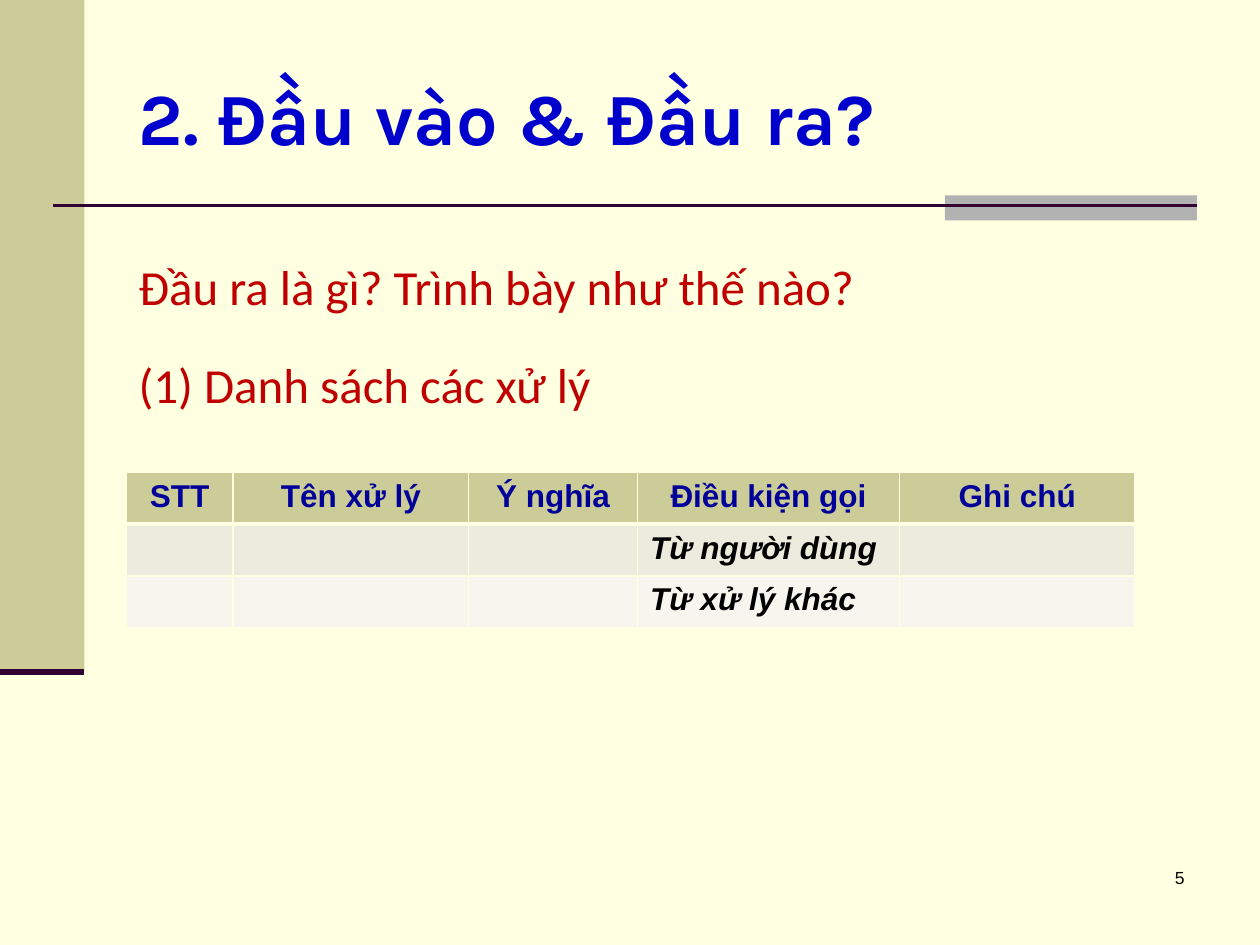
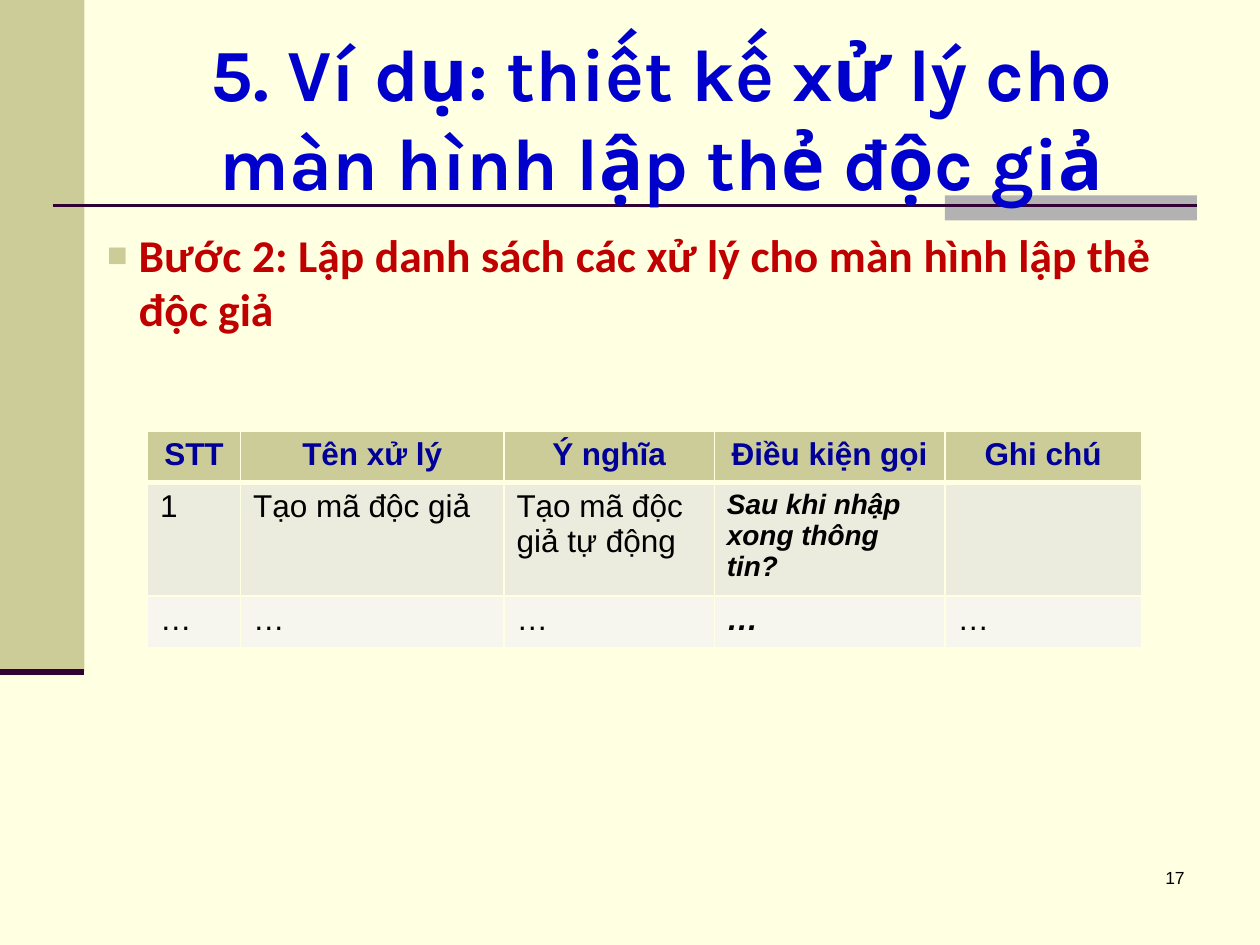
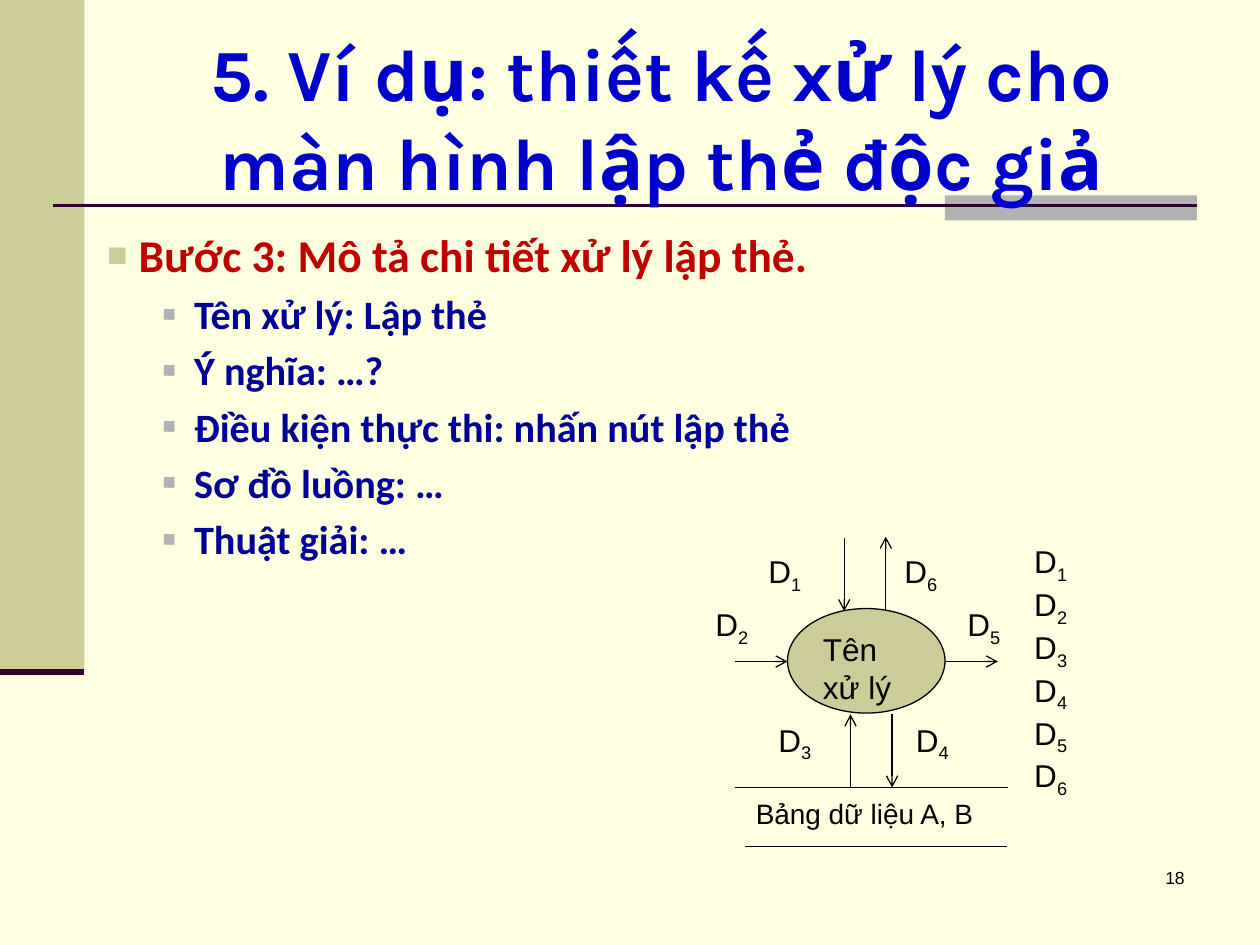
from dataclasses import dataclass, field
from typing import Any, NamedTuple

from lxml.etree import SubElement
from pptx import Presentation
from pptx.dml.color import RGBColor
from pptx.enum.shapes import MSO_CONNECTOR, MSO_SHAPE
from pptx.enum.text import MSO_ANCHOR, MSO_AUTO_SIZE, PP_ALIGN
from pptx.oxml.ns import qn
from pptx.util import Emu, Pt

SCALE = 9144


def px(size: int) -> Emu:
    return Emu(size * SCALE)


class Box(NamedTuple):
    left: int
    top: int
    width: int
    height: int

    def emu(self) -> list[Emu]:
        return [px(side) for side in self]


class Type(NamedTuple):
    size: int
    face: str
    ink: str
    bold: bool = False
    slant: bool = False


@dataclass(frozen=True)
class Theme:
    page: str = "FFFFE1"
    khaki: str = "CCCC99"
    gray: str = "B2B2B2"
    plum: str = "330033"
    black: str = "000000"
    rows: tuple[str, ...] = ("CCCC99", "ECECDE", "F6F6EF")
    title: Type = Type(42, "Karla", "0000CC", True)
    lead: Type = Type(28, "Calibri", "C00000")
    step: Type = Type(26, "Calibri", "C00000", True)
    item: Type = Type(23, "Calibri", "000099", True)
    head: Type = Type(18, "Arial", "000099", True)
    cell: Type = Type(18, "Arial", "000000")
    note: Type = Type(18, "Arial", "000000", True, True)
    hint: Type = Type(16, "Arial", "000000", True, True)
    store: Type = Type(16, "Arial", "000000")
    foot: Type = Type(10, "Arial", "000000")


T = Theme()


class Line(NamedTuple):
    text: str
    type: Type = T.cell
    sub: str = ""
    align: PP_ALIGN = PP_ALIGN.LEFT


class Mark(NamedTuple):
    ink: str
    size: int


class Point(NamedTuple):
    line: Line
    indent: int = 25
    level: int = 0
    mark: Mark | None = None
    space: float | None = None


class Rule(NamedTuple):
    x1: int
    y1: int
    x2: int
    y2: int
    ink: str = T.black
    weight: float = 0.75
    arrow: bool = False


class Band(NamedTuple):
    box: Box
    ink: str


class Grid(NamedTuple):
    box: Box
    cols: tuple[int, ...]
    rows: tuple[tuple[Line, ...], ...]


class Label(NamedTuple):
    box: Box
    lines: tuple[Line, ...]


@dataclass(frozen=True)
class Page:
    title: Line
    body: Box
    points: list[Point]
    number: int
    grid: Grid | None = None
    rules: list[Rule] = field(default_factory=list)
    labels: list[Label] = field(default_factory=list)


BANDS = (
    Band(Box(0, 0, 67, 533), T.khaki),
    Band(Box(750, 155, 200, 20), T.gray),
)
BARS = (
    Rule(42, 163, 950, 163, T.plum, 1.5),
    Rule(0, 533, 67, 533, T.plum, 3.5),
)
TITLE = Box(100, 30, 850, 125)
FOOT = Box(742, 683, 208, 50)
OVAL = Box(625, 483, 125, 83)
ROW = 41


def put(target: Any, values: dict[str, Any]) -> None:
    for name, value in values.items():
        setattr(target, name, value)


def place(shape: Any, box: Box) -> None:
    put(shape, dict(zip(box._fields, box.emu())))


def paint(fill: Any, ink: str) -> None:
    fill.solid()
    fill.fore_color.rgb = RGBColor.from_string(ink)


def add_run(para: Any, text: str, type: Type) -> Any:
    run = para.add_run()
    run.text = text
    put(run.font, {"size": Pt(type.size), "name": type.face,
                   "bold": type.bold, "italic": type.slant})
    run.font.color.rgb = RGBColor.from_string(type.ink)
    return run


def write(frame: Any, lines: tuple[Line, ...]) -> list[Any]:
    paras = []
    for line in lines:
        para = frame.add_paragraph() if paras else frame.paragraphs[0]
        para.alignment = line.align
        add_run(para, line.text, line.type)
        if line.sub:
            run = add_run(para, line.sub, line.type)
            run._r.get_or_add_rPr().set("baseline", "-25000")
        paras.append(para)
    return paras


def add_mark(para: Any, point: Point) -> None:
    props = para._p.get_or_add_pPr()
    props.set("marL", str(px(point.indent)))
    props.set("indent", str(px(-25)))
    if point.mark is None:
        SubElement(props, qn("a:buNone"))
        return
    tint = SubElement(props, qn("a:buClr"))
    SubElement(tint, qn("a:srgbClr"), val=point.mark.ink)
    SubElement(props, qn("a:buSzPct"), val=str(point.mark.size * 1000))
    SubElement(props, qn("a:buChar"), char="■")


def add_list(shape: Any, box: Box, points: list[Point]) -> None:
    place(shape, box)
    frame = shape.text_frame
    frame.auto_size = MSO_AUTO_SIZE.NONE
    paras = write(frame, tuple(point.line for point in points))
    for para, point in zip(paras, points):
        put(para, {"level": point.level, "line_spacing": point.space})
        add_mark(para, point)


def add_label(slide: Any, label: Label) -> None:
    frame = slide.shapes.add_textbox(*label.box.emu()).text_frame
    frame.word_wrap = True
    write(frame, label.lines)


def add_rule(slide: Any, rule: Rule) -> Any:
    ends = [px(end) for end in rule[:4]]
    link = slide.shapes.add_connector(MSO_CONNECTOR.STRAIGHT, *ends)
    link.line.width = Pt(rule.weight)
    paint(link.line.fill, rule.ink)
    props = link.element.spPr
    if rule.arrow:
        SubElement(props.find(qn("a:ln")), qn("a:tailEnd"), type="arrow")
    SubElement(props, qn("a:effectLst"))
    return link


def add_band(slide: Any, band: Band) -> Any:
    shape = slide.shapes.add_shape(MSO_SHAPE.RECTANGLE, *band.box.emu())
    shape.shadow.inherit = False
    paint(shape.fill, band.ink)
    shape.line.fill.background()
    return shape


def add_oval(slide: Any) -> None:
    shape = slide.shapes.add_shape(MSO_SHAPE.OVAL, *OVAL.emu())
    shape.shadow.inherit = False
    paint(shape.fill, T.khaki)
    paint(shape.line.fill, T.black)
    shape.line.width = Pt(0.75)
    put(shape.text_frame, {"word_wrap": False, "vertical_anchor": MSO_ANCHOR.TOP})
    write(shape.text_frame, (Line("Tên"), Line("xử lý")))


def add_edge(cell: Any, side: str, weight: float) -> None:
    props = cell._tc.get_or_add_tcPr()
    edge = SubElement(props, qn(f"a:ln{side}"), w=str(Pt(weight)))
    fill = SubElement(edge, qn("a:solidFill"))
    SubElement(fill, qn("a:srgbClr"), val=T.page)


def add_grid(slide: Any, grid: Grid) -> None:
    shape = slide.shapes.add_table(len(grid.rows), len(grid.cols), *grid.box.emu())
    table = shape.table
    for col, width in zip(table.columns, grid.cols):
        col.width = px(width)
    for r, row in enumerate(grid.rows):
        table.rows[r].height = px(ROW)
        weights = {"L": 1, "R": 1, "T": 3 if r == 1 else 1, "B": 1 if r else 3}
        for c, line in enumerate(row):
            cell = table.cell(r, c)
            for side, weight in weights.items():
                add_edge(cell, side, weight)
            paint(cell.fill, T.rows[r])
            if line.text:
                write(cell.text_frame, (line,))
    shape.height = px(grid.box.height)


def add_page(deck: Any, page: Page) -> Any:
    slide = deck.slides.add_slide(deck.slide_layouts[1])
    title = slide.shapes.title
    place(title, TITLE)
    put(title.text_frame, {"auto_size": MSO_AUTO_SIZE.NONE,
                           "vertical_anchor": MSO_ANCHOR.MIDDLE})
    write(title.text_frame, (page.title,))
    add_list(slide.placeholders[1], page.body, page.points)
    number = Line(str(page.number), T.foot, align=PP_ALIGN.RIGHT)
    add_label(slide, Label(FOOT, (number,)))
    if page.grid:
        add_grid(slide, page.grid)
    if page.rules:
        add_oval(slide)
    for rule in page.rules:
        add_rule(slide, rule)
    for label in page.labels:
        add_label(slide, label)
    return slide


def add_frame(deck: Any, slide: Any) -> None:
    paint(deck.slide_master.background.fill, T.page)
    parts = [add_band(slide, band) for band in BANDS]
    parts += [add_rule(slide, bar) for bar in BARS]
    tree = deck.slide_layouts[1].shapes.element
    for part in parts:
        tree.append(part.element)


def step(text: str) -> Point:
    line = Line(text, T.step, align=PP_ALIGN.JUSTIFY)
    return Point(line, mark=Mark(T.khaki, 75))


def item(text: str) -> Point:
    line = Line(text, T.item, align=PP_ALIGN.JUSTIFY)
    return Point(line, 69, 1, Mark(T.gray, 55))


def data(number: int) -> Line:
    return Line("D", sub=str(number))


def arrow(x1: int, y1: int, x2: int, y2: int) -> Rule:
    return Rule(x1, y1, x2, y2, arrow=True)


HEAD = tuple(
    Line(text, T.head, align=PP_ALIGN.CENTER)
    for text in ("STT", "Tên xử lý", "Ý nghĩa", "Điều kiện gọi", "Ghi chú")
)
NONE = Line("")
DOTS = Line("…")
CASE = Line("5. Ví dụ: thiết kế xử lý cho màn hình lập thẻ độc giả",
            T.title, align=PP_ALIGN.CENTER)
SPOTS = ((600, 433), (558, 475), (608, 567), (717, 567), (758, 475), (708, 433))

PAGES = (
    Page(
        Line("2. Đầu vào & Đầu ra?", T.title),
        Box(100, 175, 850, 495),
        [Point(Line(text, T.lead), space=1.5) for text in (
            "Đầu ra là gì? Trình bày như thế nào?",
            "(1) Danh sách các xử lý",
        )],
        5,
        Grid(Box(100, 375, 800, 122), (85, 187, 134, 208, 187), (
            HEAD,
            (NONE, NONE, NONE, Line("Từ người dùng", T.note), NONE),
            (NONE, NONE, NONE, Line("Từ xử lý khác", T.note), NONE),
        )),
    ),
    Page(
        CASE,
        Box(75, 175, 850, 495),
        [step("Bước 2: Lập danh sách các xử lý cho màn hình lập thẻ độc giả")],
        17,
        Grid(Box(117, 342, 789, 171), (74, 209, 167, 183, 156), (
            HEAD,
            (Line("1"), Line("Tạo mã độc giả"), Line("Tạo mã độc giả tự động"),
             Line("Sau khi nhập xong thông tin?", T.hint), NONE),
            (DOTS, DOTS, DOTS, Line("…", T.note), DOTS),
        )),
    ),
    Page(
        CASE,
        Box(75, 175, 875, 495),
        [step("Bước 3: Mô tả chi tiết xử lý lập thẻ.")] + [item(text) for text in (
            "Tên xử lý: Lập thẻ",
            "Ý nghĩa: …?",
            "Điều kiện thực thi: nhấn nút lập thẻ",
            "Sơ đồ luồng: …",
            "Thuật giải: …",
        )],
        18,
        rules=[
            arrow(670, 427, 670, 485),
            arrow(708, 567, 708, 625),
            arrow(675, 625, 675, 567),
            arrow(703, 484, 703, 426),
            arrow(583, 525, 625, 525),
            arrow(750, 525, 792, 525),
            Rule(583, 625, 800, 625),
            Rule(591, 672, 799, 672),
        ],
        labels=[
            Label(Box(590, 627, 225, 37), (Line("Bảng dữ liệu A, B", T.store),)),
            *(Label(Box(left, top, 58, 40), (data(n),))
              for n, (left, top) in enumerate(SPOTS, 1)),
            Label(Box(811, 425, 58, 222), tuple(data(n) for n in range(1, 7))),
        ],
    ),
)


def main() -> None:
    deck = Presentation()
    put(deck, {"slide_width": px(1000), "slide_height": px(750)})
    slides = [add_page(deck, page) for page in PAGES]
    add_frame(deck, slides[0])
    deck.save("out.pptx")


if __name__ == "__main__":
    main()
